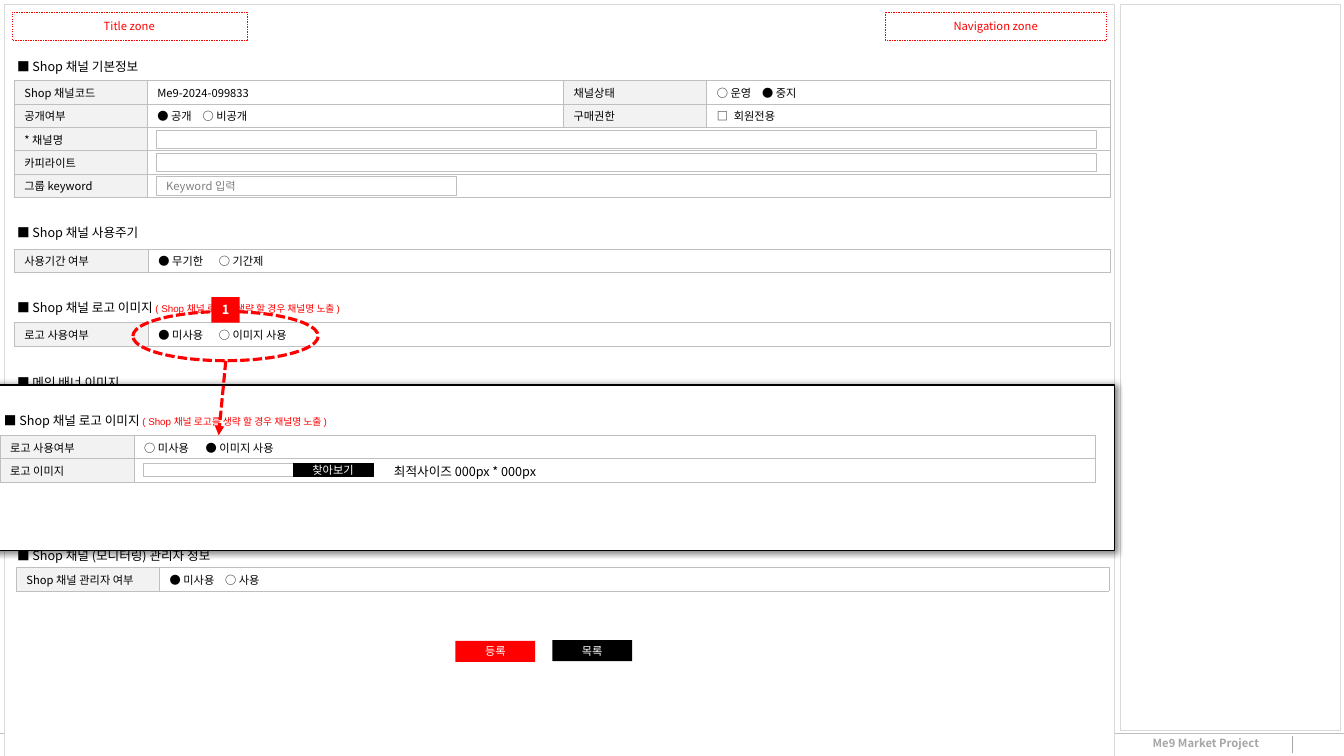
"""Builds the shop channel settings screen with its logo image pop-up."""
from lxml.etree import SubElement
from pptx import Presentation
from pptx.dml.color import RGBColor
from pptx.enum.dml import MSO_LINE as Dash
from pptx.enum.shapes import MSO_CONNECTOR as Link, MSO_SHAPE as Preset
from pptx.enum.text import MSO_ANCHOR as Anchor, MSO_AUTO_SIZE as Fit, PP_ALIGN as Align
from pptx.oxml import parse_xml
from pptx.oxml.ns import nsdecls, qn
from pptx.util import Cm, Pt

COLORS = {
    "white": "FFFFFF", "black": "000000", "red": "FF0000", "label": "F2F2F2",
    "frame": "D9D9D9", "border": "BFBFBF", "hint": "808080", "footer": "A6A6A6",
}
FONT = "Noto Sans CJK KR"
ROW_HEIGHT = 0.59


def color(name):
    return RGBColor.from_string(COLORS[name])


class Screen:
    def __init__(self, slide):
        self.shapes = slide.shapes

    def style_run(self, run, size, ink, bold=False, face=FONT):
        run.font.size = Pt(size)
        run.font.bold = bold
        run.font.color.rgb = color(ink)
        run.font.name = face
        SubElement(run.font._element, qn("a:ea")).set("typeface", FONT)

    def style_line(self, line, ink, width, dash=None):
        line.color.rgb = color(ink)
        line.width = Pt(width)
        if dash:
            line.dash_style = dash

    def box(self, left, top, width, height, fill=None, line=None, weight=0.5, dash=None,
            text="", ink="white", size=8, bold=False, align=Align.CENTER, preset=Preset.RECTANGLE):
        shape = self.shapes.add_shape(preset, Cm(left), Cm(top), Cm(width), Cm(height))
        shape.shadow.inherit = False
        if fill:
            shape.fill.solid()
            shape.fill.fore_color.rgb = color(fill)
        else:
            shape.fill.background()
        if line:
            self.style_line(shape.line, line, weight, dash)
        else:
            shape.line.fill.background()
        if text:
            frame = shape.text_frame
            frame.text = text
            frame.vertical_anchor = Anchor.MIDDLE
            frame.margin_top = frame.margin_bottom = 0
            frame.paragraphs[0].alignment = align
            self.style_run(frame.paragraphs[0].runs[0], size, ink, bold)
        return shape

    def line(self, start, end, ink, width, dash=None, arrow=False):
        link = self.shapes.add_connector(Link.STRAIGHT, *map(Cm, start + end))
        self.style_line(link.line, ink, width, dash)
        if arrow:
            SubElement(link.line._get_or_add_ln(), qn("a:tailEnd")).set("type", "triangle")
        SubElement(link._element.spPr, qn("a:effectLst"))

    def text(self, left, top, width, text, size=9, ink="black", bold=False, note="", wrap=False):
        holder = self.shapes.add_textbox(Cm(left), Cm(top), Cm(width), Cm(0.64))
        frame = holder.text_frame
        frame.text = text
        frame.word_wrap = wrap
        frame.auto_size = Fit.SHAPE_TO_FIT_TEXT
        paragraph = frame.paragraphs[0]
        self.style_run(paragraph.runs[0], size, ink, bold)
        if note:
            remark = paragraph.add_run()
            remark.text = note
            self.style_run(remark, 7, "red", face="Arial")

    def style_cell(self, cell, text, fill, gap):
        cell.fill.solid()
        cell.fill.fore_color.rgb = color(fill)
        cell.vertical_anchor = Anchor.MIDDLE
        cell.margin_top = cell.margin_bottom = 0
        for position, side in enumerate("LRTB"):
            cell._tc.tcPr.insert(position, parse_xml(
                f'<a:ln{side} {nsdecls("a")} w="6350"><a:solidFill>'
                f'<a:srgbClr val="{COLORS["border"]}"/></a:solidFill></a:ln{side}>'))
        paragraph = cell.text_frame.paragraphs[0]
        paragraph.text = text
        if "\t" in text:
            stops = SubElement(paragraph._p.get_or_add_pPr(), qn("a:tabLst"))
            stop = SubElement(stops, qn("a:tab"))
            stop.set("pos", str(Cm(gap)))
            stop.set("algn", "l")
        for run in paragraph.runs:
            self.style_run(run, 8, "black")
        if not text:
            paragraph._p.get_or_add_endParaRPr().set("sz", "800")

    def table(self, left, top, widths, rows, gaps):
        grid = self.shapes.add_table(len(rows), len(widths), Cm(left), Cm(top),
                                     Cm(sum(widths)), Cm(ROW_HEIGHT * len(rows))).table
        grid.first_row = grid.horz_banding = False
        for column, width in zip(grid.columns, widths):
            column.width = Cm(width)
        for r, row in enumerate(rows):
            grid.rows[r].height = Cm(ROW_HEIGHT)
            for c in range(len(widths)):
                text = row[c] if c < len(row) else ""
                fill = "label" if c % 2 == 0 and text else "white"
                self.style_cell(grid.cell(r, c), text, fill, gaps.get((r, c), 0))
            if len(row) < len(widths):
                grid.cell(r, len(row) - 1).merge(grid.cell(r, len(widths) - 1))


def draw_page(screen):
    screen.line((0, 18.47), (33.87, 18.47), "border", 0.25)
    screen.text(28.8, 18.44, 3.56, "Me9 Market Project", 8, "footer", bold=True, wrap=True)
    screen.line((32.56, 18.54), (32.56, 18.97), "footer", 0.25)
    screen.box(0.1, 0.1, 27.99, 23.04, "white", "frame", 0.25)
    screen.box(28.24, 0.1, 5.54, 18.29, None, "frame", 0.25)
    for left, width, zone in ((0.3, 5.92, "Title zone"), (22.3, 5.59, "Navigation zone")):
        screen.box(left, 0.3, width, 0.71, None, "red", 0.25, Dash.DASH, zone, "red")


def draw_form(screen, logo_title, logo_note):
    option_widths = (3.38, 24.23)
    screen.table(0.36, 8.13, option_widths, [("로고 사용여부", "● 미사용\t○ 이미지 사용")],
                 {(0, 1): 1.52})
    screen.table(0.36, 2.03, (3.35, 10.49, 3.61, 10.16), [
        ("Shop 채널코드", "Me9-2024-099833", "채널상태", "○ 운영\t● 중지"),
        ("공개여부", "● 공개\t○ 비공개", "구매권한", "□\t회원전용"),
        ("* 채널명", ""),
        ("카피라이트", ""),
        ("그룹 keyword", ""),
    ], {(0, 3): 1.14, (1, 1): 1.14, (1, 3): 0.43})
    screen.table(0.41, 14.3, (3.61, 23.93), [("Shop 채널 관리자 여부", "● 미사용\t○ 사용")],
                 {(0, 1): 1.4})
    screen.table(0.36, 6.27, option_widths, [("사용기간 여부", "● 무기한\t○ 기간제")],
                 {(0, 1): 1.52})
    for top in (3.28, 3.86):
        screen.box(3.94, top, 23.7, 0.46, "white", "border")
    screen.box(3.94, 4.45, 7.57, 0.48, "white", "border", text="Keyword 입력",
               ink="hint", align=Align.LEFT)
    for top, width, title, note in (
        (1.37, 3.84, "■ Shop 채널 기본정보", ""),
        (5.54, 3.84, "■ Shop 채널 사용주기", ""),
        (7.42, 9.65, logo_title, logo_note),
        (9.32, 3.4, "■ 메인 배너 이미지", ""),
        (13.67, 5.87, "■ Shop 채널 (모니터링) 관리자 정보", ""),
    ):
        screen.text(0.18, top, width, title, note=note)
    screen.box(11.48, 16.15, 2.01, 0.53, "red", text="등록")
    screen.box(13.92, 16.13, 2.01, 0.53, "black", text="목록")


def draw_popup(screen, logo_title, logo_note):
    panel = screen.box(-0.38, 9.7, 28.47, 4.17, "white", "black", 1)
    glow = SubElement(panel._element.spPr.find(qn("a:effectLst")), qn("a:outerShdw"))
    glow.set("blurRad", str(Pt(5)))
    shade = SubElement(glow, qn("a:srgbClr"))
    shade.set("val", COLORS["black"])
    SubElement(shade, qn("a:alpha")).set("val", "50000")
    screen.box(3.35, 7.85, 4.67, 1.24, None, "red", 2.25, Dash.SQUARE_DOT, preset=Preset.OVAL)
    screen.box(5.33, 7.49, 0.71, 0.64, "red", text="1", size=9, bold=True)
    screen.line((5.69, 9.09), (5.51, 10.97), "red", 2.25, Dash.SQUARE_DOT, arrow=True)
    screen.table(0, 10.97, (3.38, 24.23), [
        ("로고 사용여부", "○ 미사용\t● 이미지 사용"),
        ("로고 이미지", ""),
    ], {(0, 1): 1.55})
    screen.box(3.61, 11.68, 3.81, 0.33, "white", "border")
    screen.box(7.39, 11.68, 2.01, 0.33, "black", "black", text="찾아보기")
    screen.text(9.68, 11.56, 4.34, "최적사이즈 000px * 000px")
    screen.text(-0.15, 10.28, 9.65, logo_title, note=logo_note)


def main():
    deck = Presentation()
    deck.slide_width, deck.slide_height = Cm(33.87), Cm(19.05)
    screen = Screen(deck.slides.add_slide(deck.slide_layouts[6]))
    logo_heading = ("■ Shop 채널 로고 이미지 ", "( Shop 채널 로고를 생략 할 경우 채널명 노출 )")
    draw_page(screen)
    draw_form(screen, *logo_heading)
    draw_popup(screen, *logo_heading)
    deck.save("out.pptx")


if __name__ == "__main__":
    main()
